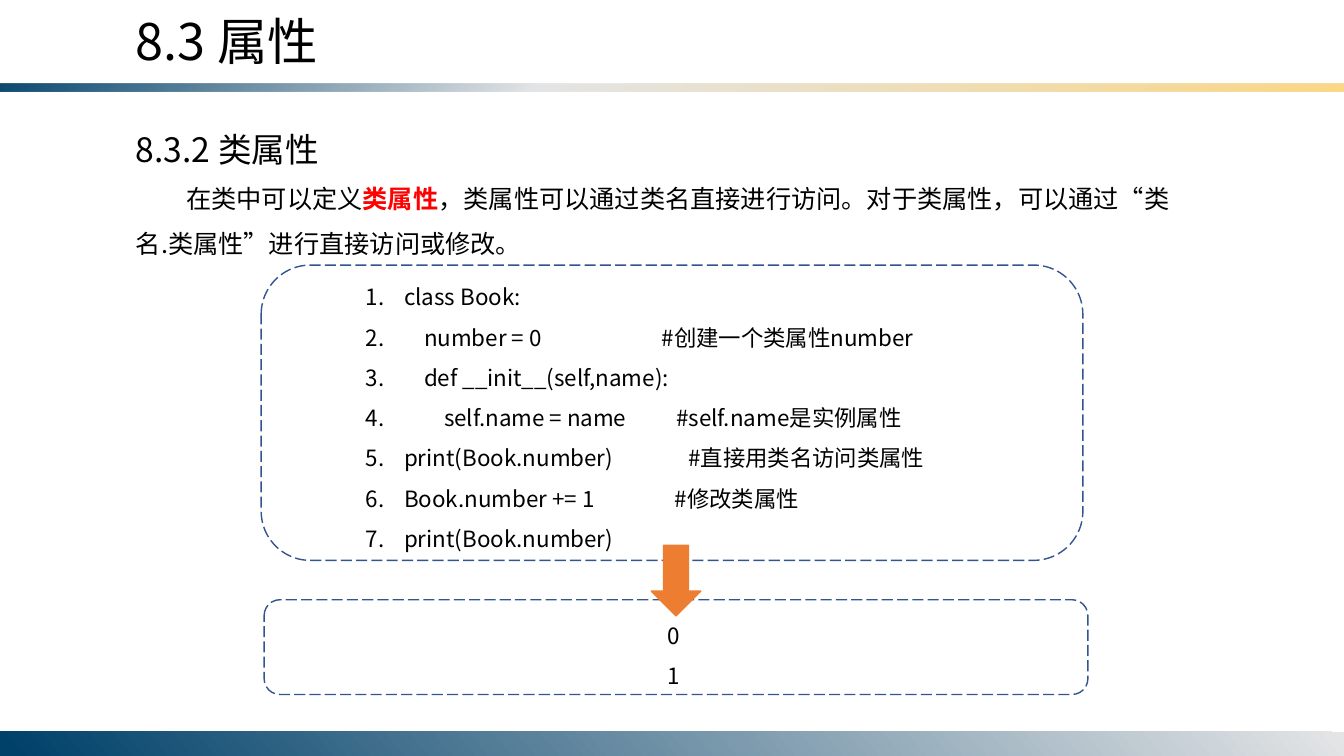
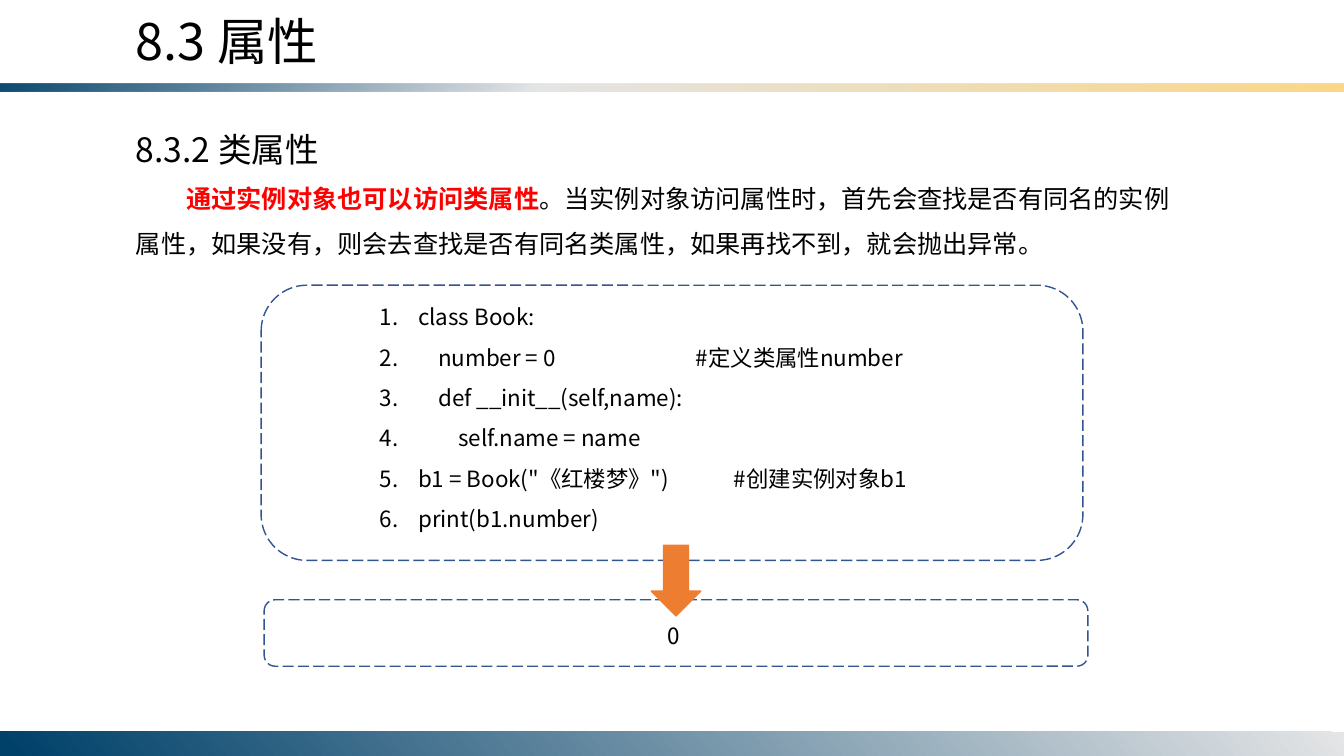
from lxml.etree import SubElement
from pptx import Presentation
from pptx.dml.color import RGBColor
from pptx.enum.dml import MSO_LINE
from pptx.enum.shapes import MSO_SHAPE
from pptx.enum.text import MSO_AUTO_SIZE
from pptx.oxml.ns import qn
from pptx.util import Inches, Pt

BLACK = RGBColor(0x00, 0x00, 0x00)
RED = RGBColor(0xFF, 0x00, 0x00)
NAVY = RGBColor(0x00, 0x41, 0x6A)
SILVER = RGBColor(0xE4, 0xE5, 0xE6)
GOLD = RGBColor(0xFB, 0xD7, 0x86)
BLUE = RGBColor(0x32, 0x54, 0x91)
ORANGE = RGBColor(0xED, 0x7D, 0x31)

FONT = "Noto Sans CJK SC"
WIDTH, HEIGHT = 13.33, 7.5
MARGIN = 1.25
HANGING = 0.38

SLIDES = [
    {
        "body": [
            ("在类中可以定义", False),
            ("类属性", True),
            ("，类属性可以通过类名直接进行访问。对于类属性，可以通过“类名.类属性”进行直接访问或修改。", False),
        ],
        "code": [
            "class Book:",
            "    number = 0                        #创建一个类属性number",
            "    def __init__(self,name):",
            "        self.name = name          #self.name是实例属性",
            "print(Book.number)               #直接用类名访问类属性",
            "Book.number += 1                #修改类属性",
            "print(Book.number)",
        ],
        "code_left": 3.53, "code_top": 2.63, "code_width": 6.32,
        "output": ["0", "1"], "output_height": 0.94,
    },
    {
        "body": [
            ("通过实例对象也可以访问类属性", True),
            ("。当实例对象访问属性时，首先会查找是否有同名的实例属性，如果没有，"
             "则会去查找是否有同名类属性，如果再找不到，就会抛出异常。", False),
        ],
        "code": [
            "class Book:",
            "    number = 0                            #定义类属性number",
            "    def __init__(self,name):",
            "        self.name = name",
            "b1 = Book(\"《红楼梦》\")             #创建实例对象b1",
            "print(b1.number)",
        ],
        "code_left": 3.67, "code_top": 2.83, "code_width": 6.07,
        "output": ["0"], "output_height": 0.66,
    },
]


def add_run(p, text, size=16, color=BLACK, bold=False):
    r = p.add_run()
    r.text = text
    r.font.size = Pt(size)
    r.font.bold = bold
    r.font.color.rgb = color
    r.font.name = FONT
    SubElement(r.font._element, qn("a:ea")).set("typeface", FONT)


def lines_height(lines):
    """Height of a text box that holds the given 16 pt lines."""
    return 0.1 + 0.4 * len(lines)


class Deck:
    def __init__(self):
        self.prs = Presentation()
        self.prs.slide_width = Inches(WIDTH)
        self.prs.slide_height = Inches(HEIGHT)
        self.s = None

    def new_slide(self, title, subtitle):
        self.s = self.prs.slides.add_slide(self.prs.slide_layouts[6])
        self.band(0.83, 0.08, 50, [(0, NAVY, 95), (40, SILVER, 100), (100, GOLD, 100)])
        self.band(7.26, 0.24, 140, [(0, SILVER, 100), (99, NAVY, 100)])
        self.text(MARGIN, 0.05, 6.12, 0.71, [[(title, {"size": 36})]])
        self.text(MARGIN, 1.23, 5.16, 0.5, [[(subtitle, {"size": 24})]])

    def shape(self, kind, left, top, width, height):
        sp = self.s.shapes.add_shape(
            kind, Inches(left), Inches(top), Inches(width), Inches(height))
        sp.shadow.inherit = False
        return sp

    def band(self, top, height, angle, stops):
        """Full-width gradient strip; stops are (percent, colour, opacity)."""
        sp = self.shape(MSO_SHAPE.RECTANGLE, 0, top, WIDTH, height)
        sp.line.fill.background()
        sp.fill.gradient()
        grad = sp._element.spPr.find(qn("a:gradFill"))
        for child in list(grad):
            grad.remove(child)
        stop_list = SubElement(grad, qn("a:gsLst"))
        for percent, color, opacity in stops:
            stop = SubElement(stop_list, qn("a:gs"), pos=str(percent * 1000))
            clr = SubElement(stop, qn("a:srgbClr"), val=str(color))
            if opacity < 100:
                SubElement(clr, qn("a:alpha"), val=str(opacity * 1000))
        SubElement(grad, qn("a:lin"), ang=str(angle * 60000), scaled="0")

    def text(self, left, top, width, height, paragraphs,
             spacing=None, first_indent=0, numbered=False):
        """Text box; each paragraph is a list of (text, run format) pairs."""
        box = self.s.shapes.add_textbox(
            Inches(left), Inches(top), Inches(width), Inches(height))
        tf = box.text_frame
        tf.word_wrap = True
        tf.auto_size = MSO_AUTO_SIZE.SHAPE_TO_FIT_TEXT
        for i, runs in enumerate(paragraphs):
            p = tf.add_paragraph() if i else tf.paragraphs[0]
            if spacing:
                p.line_spacing = spacing
            pPr = p._p.get_or_add_pPr()
            if numbered:
                pPr.set("marL", str(Inches(HANGING)))
                pPr.set("indent", str(-Inches(HANGING)))
                SubElement(pPr, qn("a:buFont"), typeface="+mj-lt")
                SubElement(pPr, qn("a:buAutoNum"), type="arabicPeriod")
            elif first_indent:
                pPr.set("indent", str(Inches(first_indent)))
            for text, style in runs:
                add_run(p, text, **style)

    def body(self, parts):
        key = {"color": RED, "bold": True}
        runs = [(text, {"size": 18, **(key if is_key else {})}) for text, is_key in parts]
        self.text(MARGIN, 1.62, 10.66, 1.01, [runs], spacing=1.5, first_indent=0.5)

    def listing(self, left, top, width, lines, numbered=False):
        self.text(left, top, width, lines_height(lines), [[(line, {})] for line in lines],
                  spacing=1.5, numbered=numbered)

    def frame(self, left, top, width, height):
        sp = self.shape(MSO_SHAPE.ROUNDED_RECTANGLE, left, top, width, height)
        sp.fill.background()
        sp.line.color.rgb = BLUE
        sp.line.width = Pt(1)
        sp.line.dash_style = MSO_LINE.LONG_DASH

    def down_arrow(self, left, top, width, height):
        sp = self.shape(MSO_SHAPE.DOWN_ARROW, left, top, width, height)
        sp.fill.solid()
        sp.fill.fore_color.rgb = ORANGE
        sp.line.color.rgb = ORANGE
        sp.line.width = Pt(1)


def main():
    deck = Deck()
    code_bottom = 5.56
    for c in SLIDES:
        deck.new_slide("8.3 属性", "8.3.2 类属性")
        deck.body(c["body"])
        top = c["code_top"]
        deck.listing(c["code_left"], top, c["code_width"], c["code"], numbered=True)
        deck.frame(2.59, top, 8.15, code_bottom - top)
        deck.listing(6.52, 5.99, 0.37, c["output"])
        deck.frame(2.62, 5.95, 8.17, c["output_height"])
        deck.down_arrow(6.46, 5.41, 0.49, 0.7)
    deck.prs.save("out.pptx")


if __name__ == "__main__":
    main()
